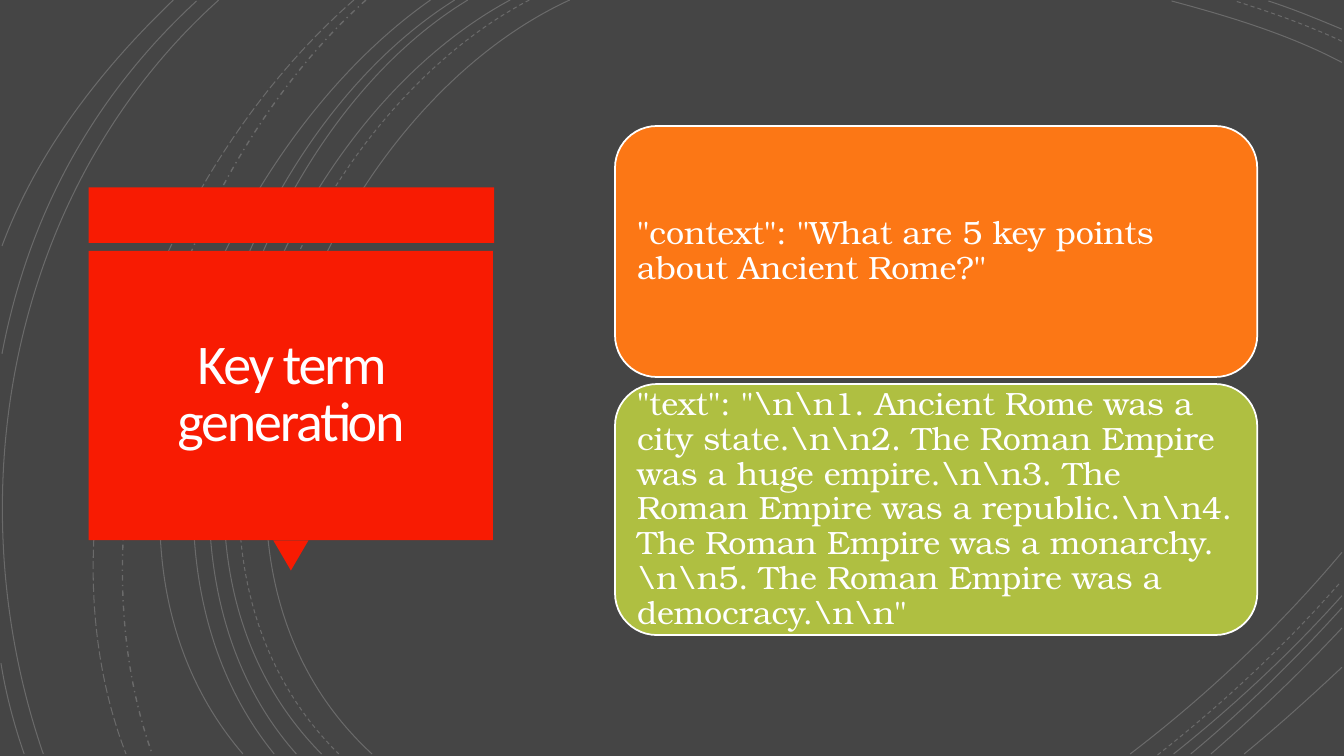
from lxml import etree
from pptx import Presentation
from pptx.dml.color import RGBColor
from pptx.enum.dml import MSO_LINE
from pptx.enum.shapes import MSO_SHAPE
from pptx.enum.text import MSO_ANCHOR, PP_ALIGN
from pptx.oxml.ns import qn
from pptx.util import Pt

PX = 9144  # EMU per px, 100 px to the inch

RECT = MSO_SHAPE.RECTANGLE
ROUNDED = MSO_SHAPE.ROUNDED_RECTANGLE
TRIANGLE = MSO_SHAPE.ISOSCELES_TRIANGLE
MIDDLE = MSO_ANCHOR.MIDDLE
LEFT, CENTER = PP_ALIGN.LEFT, PP_ALIGN.CENTER
SOLID, DASH = MSO_LINE.SOLID, MSO_LINE.SQUARE_DOT
DASH = MSO_LINE.DASH
DASH_DOT, LONG_DASH = MSO_LINE.DASH_DOT, MSO_LINE.LONG_DASH

GRAY = RGBColor(0x45, 0x45, 0x45)
WHITE = RGBColor(0xFF, 0xFF, 0xFF)
TITLE_WHITE = RGBColor(0xFF, 0xFE, 0xFF)
RED = RGBColor(0xF8, 0x1B, 0x02)
ORANGE = RGBColor(0xFC, 0x77, 0x15)
GREEN = RGBColor(0xAF, 0xBF, 0x41)

# Cubic curves: start, two control points, end; then dash style
ARCS = [
    # Wide arcs on the left
    ((565, 0), (315, 115), (143, 540), (369, 748), SOLID),
    ((525, 0), (285, 125), (123, 537), (336, 748), DASH),
    ((506, 0), (270, 127), (110, 537), (319, 748), SOLID),
    ((464, 0), (244, 133), (110, 541), (294, 748), SOLID),
    ((451, 0), (231, 138), (97, 533), (272, 748), SOLID),
    ((427, 0), (217, 147), (53, 529), (241, 748), SOLID),
    ((363, 0), (176, 166), (65, 509), (151, 748), DASH_DOT),
    ((351, 0), (157, 169), (29, 499), (125, 748), LONG_DASH),
    ((217, 0), (11, 185), (-46, 490), (43, 748), SOLID),
    ((195, 1), (92, 96), (28, 214), (2, 351), SOLID),
    ((1, 658), (6, 689), (14, 719), (24, 748), SOLID),
    ((172, 0), (100, 69), (37, 150), (2, 244), SOLID),
    # Top right corner
    ((1331, 62), (1278, 34), (1218, 16), (1162, 1), SOLID),
    ((1331, 41), (1297, 25), (1260, 12), (1225, 1), DASH),
    ((1331, 29), (1307, 19), (1283, 9), (1258, 1), SOLID),
    # Bottom right corner
    ((1121, 748), (1197, 690), (1269, 622), (1331, 548), SOLID),
    ((1148, 749), (1213, 698), (1275, 640), (1330, 577), DASH),
    ((1164, 748), (1223, 701), (1280, 648), (1331, 591), SOLID),
    ((1181, 748), (1234, 704), (1284, 655), (1331, 603), SOLID),
    ((1201, 748), (1246, 709), (1290, 667), (1331, 623), SOLID),
    ((1234, 748), (1267, 721), (1299, 692), (1331, 662), SOLID),
]

CARDS = [
    (ORANGE, '"context": "What are 5 key points about Ancient Rome?"'),
    (GREEN, r'"text": "\n\n1. Ancient Rome was a city state.'
            r'\n\n2. The Roman Empire was a huge empire.'
            r'\n\n3. The Roman Empire was a republic.'
            r'\n\n4. The Roman Empire was a monarchy.'
            r'\n\n5. The Roman Empire was a democracy.\n\n"'),
]
CARD_TOP, CARD_HEIGHT, CARD_STEP = 125, 249, 256


def add_arc(page, start, control_1, control_2, end, dash):
    """Draw one faint cubic curve."""
    builder = page.shapes.build_freeform(*start, scale=PX)
    builder.add_line_segments([control_1, control_2, end], close=False)
    arc = builder.convert_to_shape()
    arc.shadow.inherit = False
    arc.fill.background()
    arc.line.color.rgb = WHITE
    arc.line.width = Pt(1 if dash == DASH_DOT else 0.75)
    arc.line.dash_style = dash
    color = arc.line._ln.find(".//" + qn("a:srgbClr"))
    etree.SubElement(color, qn("a:alpha")).set("val", "20000")

    # Turn the three straight segments into one cubic segment
    outline = arc._element.find(".//" + qn("a:path"))
    curve = etree.SubElement(outline, qn("a:cubicBezTo"))
    for segment in outline.findall(qn("a:lnTo")):
        curve.append(segment[0])
        outline.remove(segment)


def add_block(page, kind, left, top, width, height, fill):
    """Add a filled preset shape without an outline."""
    block = page.shapes.add_shape(
        kind, left * PX, top * PX, width * PX, height * PX)
    block.shadow.inherit = False
    block.fill.solid()
    block.fill.fore_color.rgb = fill
    block.line.fill.background()
    return block


def write_text(block, text, font, size, color, align, line_spacing, inset):
    """Write one paragraph, centred vertically, and return its run."""
    frame = block.text_frame
    frame.word_wrap = True
    frame.vertical_anchor = MIDDLE
    frame.margin_left = frame.margin_right = inset * PX
    frame.margin_top = frame.margin_bottom = inset * PX
    para = frame.paragraphs[0]
    para.alignment = align
    para.line_spacing = line_spacing
    para.font.name = font
    para.font.size = Pt(size)
    para.font.color.rgb = color
    span = para.add_run()
    span.text = text
    return span


def add_title(page):
    """Add the red sign with its bar and pointer."""
    add_block(page, RECT, 88, 186, 402, 55, RED)
    pointer = add_block(page, TRIANGLE, 271, 536, 35, 30, RED)
    pointer.rotation = 180
    sign = add_block(page, RECT, 88, 249, 401, 287, RED)
    span = write_text(sign, "Key term generation", "Calibri", 40,
                      TITLE_WHITE, CENTER, 0.85, 34)
    span._r.get_or_add_rPr().set("spc", "-150")


def add_card(page, top, fill, text):
    """Add one rounded card with white text."""
    card = add_block(page, ROUNDED, 610, top, 637, CARD_HEIGHT, fill)
    card.line.color.rgb = WHITE
    card.line.width = Pt(1.25)
    write_text(card, text, "TeX Gyre Bonum", 23, WHITE, LEFT, 0.9, 10)


def main():
    deck = Presentation()
    deck.slide_width, deck.slide_height = 1333 * PX, 750 * PX
    page = deck.slides.add_slide(deck.slide_layouts[6])
    page.background.fill.solid()
    page.background.fill.fore_color.rgb = GRAY

    # Background arcs
    for arc in ARCS:
        add_arc(page, *arc)

    # Title on the left, cards on the right
    add_title(page)
    for index, (fill, text) in enumerate(CARDS):
        add_card(page, CARD_TOP + index * CARD_STEP, fill, text)

    deck.save("out.pptx")


if __name__ == "__main__":
    main()
